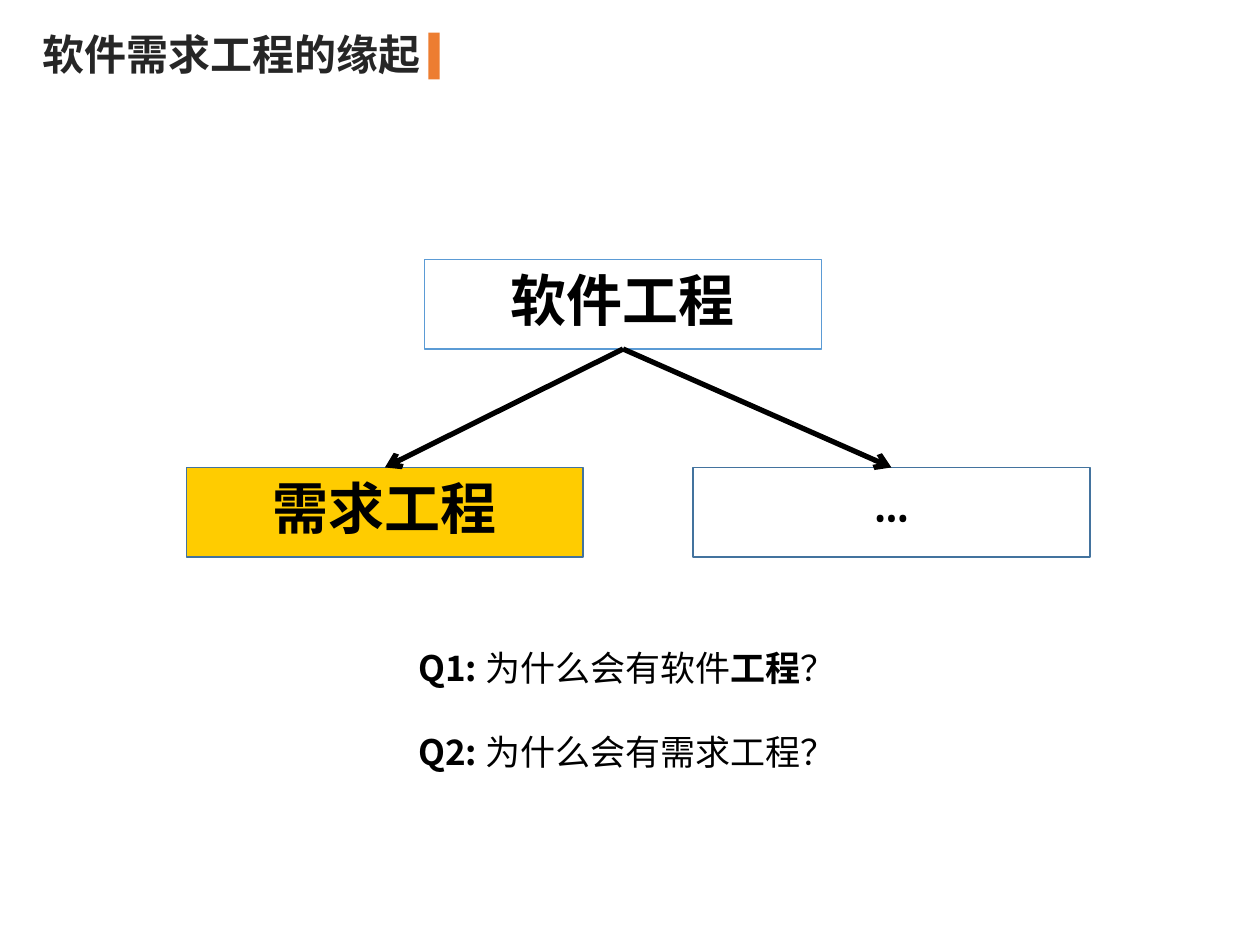
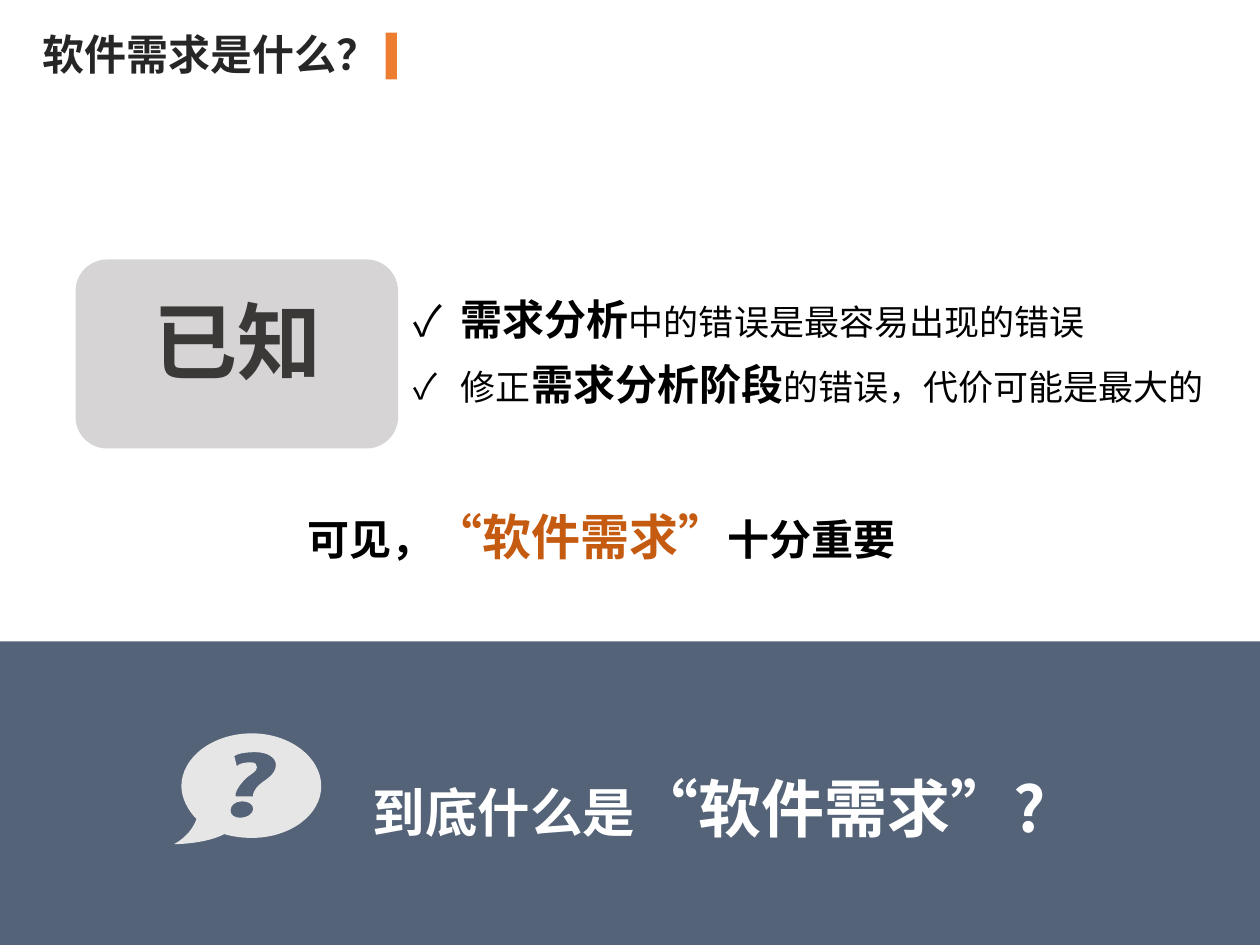
from lxml.etree import SubElement
from pptx import Presentation
from pptx.dml.color import RGBColor
from pptx.enum.shapes import MSO_CONNECTOR, MSO_SHAPE
from pptx.enum.text import MSO_ANCHOR, MSO_AUTO_SIZE, PP_ALIGN
from pptx.oxml.ns import qn
from pptx.util import Inches, Pt

CJK_FONT = "Noto Sans CJK SC"
WHITE = RGBColor(0xFF, 0xFF, 0xFF)
BLACK = RGBColor(0x00, 0x00, 0x00)
TITLE_GRAY = RGBColor(0x26, 0x26, 0x26)
ORANGE = RGBColor(0xED, 0x7D, 0x31)
DARK_ORANGE = RGBColor(0xC5, 0x5A, 0x11)
YELLOW = RGBColor(0xFF, 0xCC, 0x00)
LIGHT_BLUE = RGBColor(0x5B, 0x9B, 0xD5)
STEEL_BLUE = RGBColor(0x43, 0x73, 0x9E)
SLATE = RGBColor(0x44, 0x54, 0x6A)
CARD_GRAY = RGBColor(0xAF, 0xAB, 0xAB)
CARD_TEXT = RGBColor(0x3B, 0x38, 0x38)
BUBBLE_GRAY = RGBColor(0xE7, 0xE6, 0xE6)

BOX_WIDTH, BOX_HEIGHT = 3.15, 0.71

# Each contour: a start point, then cubic curves (control, control, end).
BUBBLE_CONTOURS = [
    ((2, 6.65), [
        ((1.92, 6.65), (1.85, 6.64), (1.78, 6.62)),
        ((1.63, 6.7), (1.38, 6.7), (1.38, 6.7)),
        ((1.38, 6.7), (1.51, 6.64), (1.56, 6.5)),
        ((1.49, 6.43), (1.44, 6.33), (1.44, 6.24)),
        ((1.44, 6.01), (1.69, 5.82), (2, 5.82)),
        ((2.3, 5.82), (2.55, 6.01), (2.55, 6.24)),
        ((2.55, 6.47), (2.3, 6.65), (2, 6.65)),
    ]),
    ((1.83, 6.43), [
        ((1.83, 6.47), (1.86, 6.49), (1.91, 6.49)),
        ((1.96, 6.49), (2.01, 6.46), (2.01, 6.42)),
        ((2.01, 6.38), (1.97, 6.36), (1.92, 6.36)),
        ((1.87, 6.36), (1.83, 6.39), (1.83, 6.43)),
    ]),
    ((2.03, 5.97), [
        ((1.95, 5.97), (1.89, 5.98), (1.86, 6)),
        ((1.88, 6.08), (1.88, 6.08), (1.88, 6.08)),
        ((1.9, 6.06), (1.94, 6.05), (1.99, 6.05)),
        ((2.03, 6.05), (2.04, 6.07), (2.04, 6.09)),
        ((2.04, 6.12), (2, 6.14), (1.96, 6.17)),
        ((1.91, 6.22), (1.88, 6.26), (1.87, 6.3)),
        ((1.87, 6.31), (1.87, 6.31), (1.87, 6.32)),
        ((2.01, 6.32), (2.01, 6.32), (2.01, 6.32)),
        ((2.01, 6.31), (2.01, 6.31), (2.01, 6.3)),
        ((2.02, 6.27), (2.04, 6.24), (2.08, 6.21)),
        ((2.14, 6.17), (2.19, 6.13), (2.19, 6.07)),
        ((2.19, 6.01), (2.12, 5.97), (2.03, 5.97)),
    ]),
]


def write_text(shape, paragraphs, *, size, color=BLACK, bold=True, font=CJK_FONT,
               east_font=CJK_FONT, align=PP_ALIGN.LEFT, anchor=MSO_ANCHOR.TOP,
               wrap=True, grow=True, line_spacing=None, gap=0, bullet=None):
    """Fill a shape with paragraphs, each a list of (text, overrides) spans."""
    frame = shape.text_frame
    frame.word_wrap = wrap
    frame.vertical_anchor = anchor
    if grow:
        frame.auto_size = MSO_AUTO_SIZE.SHAPE_TO_FIT_TEXT
    for index, spans in enumerate(paragraphs):
        para = frame.paragraphs[0] if index == 0 else frame.add_paragraph()
        para.alignment = align
        if line_spacing:
            para.line_spacing = line_spacing
        if index and gap:
            para.space_before = Pt(gap)
        if bullet:
            add_bullet(para, bullet)
        for text, overrides in spans:
            span = para.add_run()
            span.text = text
            span.font.size = Pt(overrides.get("size", size))
            span.font.bold = overrides.get("bold", bold)
            span.font.color.rgb = overrides.get("color", color)
            span.font.name = font
            SubElement(span.font._element, qn("a:ea")).set("typeface", east_font)


def add_bullet(para, mark):
    properties = para._p.get_or_add_pPr()
    properties.set("marL", str(Inches(0.38)))
    properties.set("indent", str(-Inches(0.38)))
    color = SubElement(properties, qn("a:buClr"))
    SubElement(color, qn("a:srgbClr")).set("val", str(BLACK))
    SubElement(properties, qn("a:buFont")).set("typeface", CJK_FONT)
    SubElement(properties, qn("a:buChar")).set("char", mark)


def add_text(page, bounds, paragraphs, **text_format):
    box = page.shapes.add_textbox(*map(Inches, bounds))
    write_text(box, paragraphs, **text_format)


def paint(shape, fill, line=None, opacity=None):
    shape.shadow.inherit = False
    if fill is None:
        shape.fill.background()
    else:
        shape.fill.solid()
        shape.fill.fore_color.rgb = fill
    if opacity is not None:
        color = shape._element.spPr.find(qn("a:solidFill")).find(qn("a:srgbClr"))
        SubElement(color, qn("a:alpha")).set("val", str(opacity * 1000))
    if line is None:
        shape.line.fill.background()
    else:
        shape.line.color.rgb = line
        shape.line.width = Pt(1)


def add_block(page, kind, bounds, fill, **style):
    shape = page.shapes.add_shape(kind, *map(Inches, bounds))
    paint(shape, fill, **style)
    return shape


def add_title(page, text, width, bar_left):
    add_text(page, (0.24, 0.18, width, 0.5), [[(text, {})]],
             size=24, color=TITLE_GRAY, wrap=False)
    add_block(page, MSO_SHAPE.RECTANGLE, (bar_left, 0.26, 0.09, 0.37), ORANGE)


def add_tree_box(page, left, top, label, fill=WHITE, line=STEEL_BLUE, **text_format):
    box = add_block(page, MSO_SHAPE.RECTANGLE, (left, top, BOX_WIDTH, BOX_HEIGHT),
                    fill, line=line)
    settings = {"size": 32, "font": "Times New Roman", **text_format}
    write_text(box, [[(label, {})]], align=PP_ALIGN.CENTER, grow=False, **settings)
    return box


def add_arrow(page, parent, child):
    """Draw an arrow from the bottom of parent to the top of child."""
    arrow = page.shapes.add_connector(
        MSO_CONNECTOR.STRAIGHT,
        parent.left + parent.width // 2, parent.top + parent.height,
        child.left + child.width // 2, child.top)
    arrow.line.color.rgb = BLACK
    arrow.line.width = Pt(3)
    SubElement(arrow.line._get_or_add_ln(), qn("a:tailEnd")).set("type", "arrow")
    SubElement(arrow._element.spPr, qn("a:effectLst"))


def bend_segments(shape, curves):
    """Turn the straight segments of a freeform into cubic curves, in order."""
    segments = list(shape._element.iter(qn("a:lnTo")))
    for segment, points in zip(segments, curves):
        segment.tag = qn("a:cubicBezTo")
        for point in list(segment):
            segment.remove(point)
        for x, y in points:
            point = SubElement(segment, qn("a:pt"))
            point.set("x", str(Inches(x) - shape.left))
            point.set("y", str(Inches(y) - shape.top))


def add_question_bubble(page):
    builder = None
    for start, curves in BUBBLE_CONTOURS:
        x, y = map(Inches, start)
        if builder is None:
            builder = page.shapes.build_freeform(x, y)
        else:
            builder.move_to(x, y)
        ends = [tuple(map(Inches, curve[-1])) for curve in curves]
        builder.add_line_segments(ends, close=True)
    bubble = builder.convert_to_shape()
    bend_segments(bubble, [curve for _, curves in BUBBLE_CONTOURS for curve in curves])
    paint(bubble, BUBBLE_GRAY)


def build_origin_slide(page):
    add_title(page, "软件需求工程的缘起", 3.31, 3.4)
    software = add_tree_box(page, 3.37, 2.06, "软件工程", line=LIGHT_BLUE)
    requirements = add_tree_box(page, 1.48, 3.71, "需求工程", fill=YELLOW)
    add_arrow(page, software, requirements)
    others = add_tree_box(page, 5.5, 3.71, "…", size=28, font="Cambria",
                          east_font="Cambria")
    add_arrow(page, software, others)
    plain = {"bold": False}
    add_text(page, (3.22, 5.08, 7.57, 1.11), [
        [("Q1: ", {}), ("为什么会有软件", plain), ("工程", {}), ("？", plain)],
        [("Q2: ", {}), ("为什么会有需求工程？", plain)],
    ], size=20, gap=24)


def build_definition_slide(page):
    add_block(page, MSO_SHAPE.RECTANGLE, (-0.02, 5.09, 10.02, 2.41), SLATE, opacity=91)
    add_block(page, MSO_SHAPE.ROUNDED_RECTANGLE, (0.6, 2.06, 2.56, 1.5),
              CARD_GRAY, opacity=51)
    add_title(page, "软件需求是什么？", 2.89, 3.06)
    strong = {"size": 24, "bold": True}
    add_text(page, (3.18, 2.16, 6.93, 1.15), [
        [("需求分析", strong), ("中的错误是最容易出现的错误", {})],
        [("修正", {}), ("需求分析阶段", strong), ("的错误，代价可能是最大的", {})],
    ], size=20, bold=False, line_spacing=1.3, bullet="✓")
    add_text(page, (2.38, 5.76, 6.5, 1.01),
             [[("到底什么是", {}), ("“软件需求”?", {"size": 36})]],
             size=30, color=WHITE, align=PP_ALIGN.CENTER, line_spacing=1.5)
    conclusion = add_block(page, MSO_SHAPE.OVAL, (0.98, 3.63, 7.59, 1.02), None)
    write_text(conclusion, [[
        ("可见，", {}),
        ("“软件需求”", {"size": 28, "color": DARK_ORANGE}),
        ("十分重要", {}),
    ]], size=24, align=PP_ALIGN.CENTER, anchor=MSO_ANCHOR.MIDDLE, line_spacing=1.5)
    add_question_bubble(page)
    add_text(page, (1.12, 2.25, 1.65, 0.91), [[("已知", {})]], size=48, color=CARD_TEXT)


def main():
    deck = Presentation()
    deck.slide_width, deck.slide_height = Inches(10), Inches(7.5)
    for build in (build_origin_slide, build_definition_slide):
        build(deck.slides.add_slide(deck.slide_layouts[6]))
    deck.save("out.pptx")


if __name__ == "__main__":
    main()
